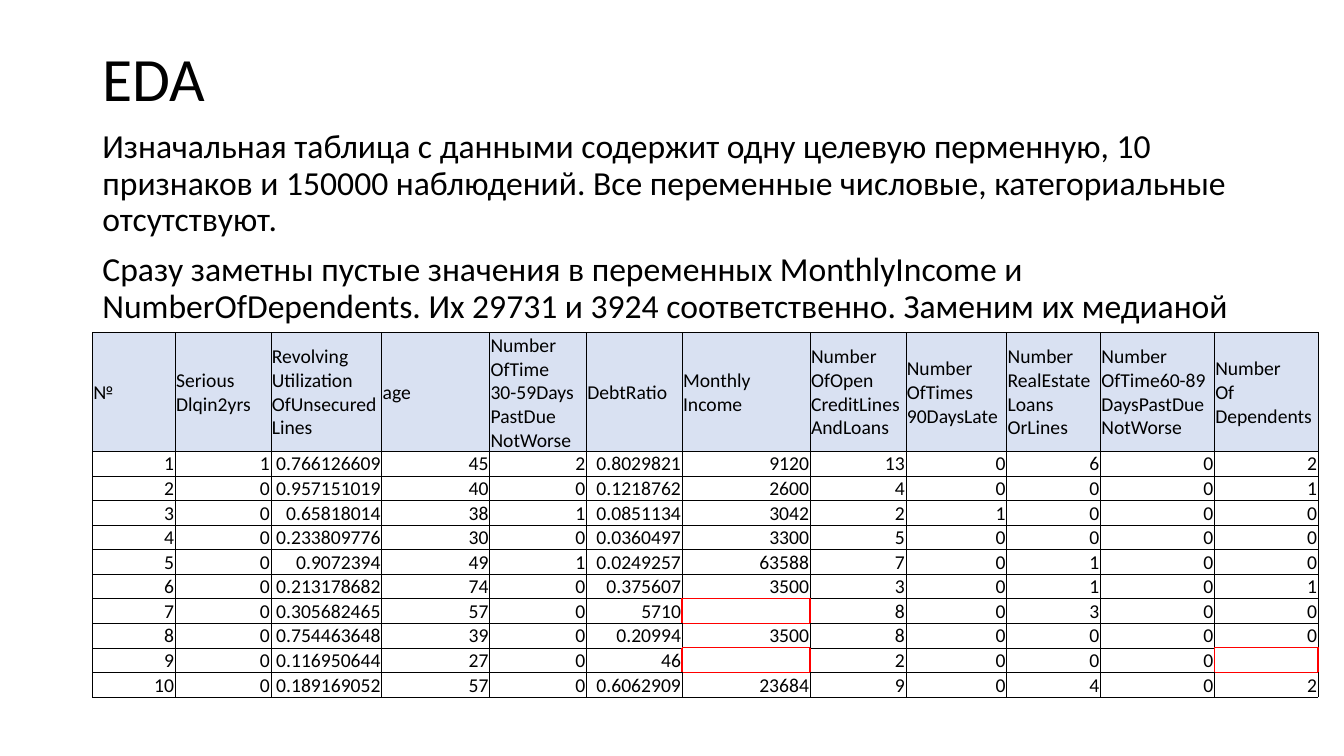
import pptx
import pptx.util
import pptx.dml.color
import pptx.enum.text
import pptx.oxml.ns
import lxml.etree

Inches, Pt = pptx.util.Inches, pptx.util.Pt
RGB = pptx.dml.color.RGBColor
ALIGN = pptx.enum.text.PP_ALIGN
MIDDLE = pptx.enum.text.MSO_ANCHOR.MIDDLE
qn = pptx.oxml.ns.qn

BLACK = RGB(0x00, 0x00, 0x00)
RED = RGB(0xFF, 0x00, 0x00)
PALE = RGB(0xD9, 0xE1, 0xF2)

WIDE, HIGH = Inches(13.333), Inches(7.5)
LEFT, SPAN = 6.88, 86.25  # percent of the slide width

TITLE = "EDA"
BODY = [
    "Изначальная таблица с данными содержит одну целевую перменную, "
    "10 признаков и 150000 наблюдений. Все переменные числовые, "
    "категориальные отсутствуют.",
    "Сразу заметны пустые значения в переменных MonthlyIncome и "
    "NumberOfDependents. Их 29731 и 3924 соответственно. "
    "Заменим их медианой",
]

# Column heads with their widths in inches; "|" breaks a line
HEADS = [
    ("№", 0.82),
    ("Serious|Dlqin2yrs", 0.95),
    ("Revolving|Utilization|OfUnsecured|Lines", 1.1),
    ("age", 1.07),
    ("Number|OfTime|30-59Days|PastDue|NotWorse", 0.96),
    ("DebtRatio", 0.95),
    ("Monthly|Income", 1.27),
    ("Number|OfOpen|CreditLines|AndLoans", 0.95),
    ("Number|OfTimes|90DaysLate", 1),
    ("Number|RealEstate|Loans|OrLines", 0.93),
    ("Number|OfTime60-89|DaysPastDue|NotWorse", 1.13),
    ("Number|Of|Dependents", 1.03),
]
# One borrower a line; the number is counted, "-" is a missing value
DATA = """
1 0.766126609 45 2 0.8029821 9120 13 0 6 0 2
0 0.957151019 40 0 0.1218762 2600 4 0 0 0 1
0 0.65818014 38 1 0.0851134 3042 2 1 0 0 0
0 0.233809776 30 0 0.0360497 3300 5 0 0 0 0
0 0.9072394 49 1 0.0249257 63588 7 0 1 0 0
0 0.213178682 74 0 0.375607 3500 3 0 1 0 1
0 0.305682465 57 0 5710 - 8 0 3 0 0
0 0.754463648 39 0 0.20994 3500 8 0 0 0 0
0 0.116950644 27 0 46 - 2 0 0 0 -
0 0.189169052 57 0 0.6062909 23684 9 0 4 0 2
"""
HEAD_ROW, DATA_ROW = 1, 0.2
CELL_SIZE = 14
CELL = {"margin_left": Inches(0.01), "margin_right": Inches(0.01),
        "margin_top": Inches(0.01), "margin_bottom": 0,
        "vertical_anchor": MIDDLE}
PARA = {"line_spacing": 0.9, "space_before": Pt(10)}
# Border tags and the step to the neighbour on that side
SIDES = {"a:lnL": (0, -1), "a:lnR": (0, 1), "a:lnT": (-1, 0), "a:lnB": (1, 0)}


def across(share):
    return round(WIDE * share / 100)


def down(share):
    return round(HIGH * share / 100)


def put(thing, look):
    for name, value in look.items():
        setattr(thing, name, value)


def ink(run, size):
    put(run.font, {"name": "Calibri", "size": Pt(size)})
    run.font.color.rgb = BLACK


def add_text(slide, top, tall, lines, size, look, anchor=None):
    box = slide.shapes.add_textbox(across(LEFT), down(top),
                                   across(SPAN), down(tall))
    frame = box.text_frame
    put(frame, {"word_wrap": True, "vertical_anchor": anchor})
    frame.text = "\n".join(lines)
    for para in frame.paragraphs:
        put(para, look)
        ink(para.runs[0], size)


def add_edge(cell, spot, tag, color, width):
    line = lxml.etree.Element(qn(tag), w=str(Pt(width)))
    fill = lxml.etree.SubElement(line, qn("a:solidFill"))
    lxml.etree.SubElement(fill, qn("a:srgbClr"), val=str(color))
    cell._tc.get_or_add_tcPr().insert(spot, line)


def fill_cell(cell, text, head):
    put(cell, CELL)
    if head:
        cell.fill.solid()
        cell.fill.fore_color.rgb = PALE
    else:
        cell.fill.background()
    cell.text = text.replace("|", "\v")
    para = cell.text_frame.paragraphs[0]
    para.alignment = ALIGN.LEFT if head else ALIGN.RIGHT
    for run in para.runs:
        ink(run, CELL_SIZE)
    # Line breaks and empty cells need the text size too
    size = str(CELL_SIZE * 100)
    for gap in para._p.findall(qn("a:br")):
        lxml.etree.SubElement(gap, qn("a:rPr"), sz=size)
    if not text:
        lxml.etree.SubElement(para._p, qn("a:endParaRPr"), sz=size)


def add_grid(slide, top, rows):
    wide = Inches(sum(width for _, width in HEADS))
    tall = Inches(HEAD_ROW + DATA_ROW * (len(rows) - 1))
    grid = slide.shapes.add_table(len(rows), len(HEADS), across(LEFT),
                                  down(top), wide, tall).table
    put(grid, {"first_row": False, "horz_banding": False})
    for col, (_, width) in zip(grid.columns, HEADS):
        col.width = Inches(width)
    for num, row in enumerate(grid.rows):
        row.height = Inches(DATA_ROW if num else HEAD_ROW)

    # Every edge of a missing value is red, on both of its cells
    empty = {(r, c) for r, row in enumerate(rows)
             for c, text in enumerate(row) if not text}
    for r, row in enumerate(rows):
        for c, text in enumerate(row):
            cell = grid.cell(r, c)
            fill_cell(cell, text, r == 0)
            for spot, (tag, (dr, dc)) in enumerate(SIDES.items()):
                hot = empty & {(r, c), (r + dr, c + dc)}
                add_edge(cell, spot, tag, *((RED, 1) if hot else (BLACK, 0.5)))


def main():
    deck = pptx.Presentation()
    put(deck, {"slide_width": WIDE, "slide_height": HIGH})
    slide = deck.slides.add_slide(deck.slide_layouts[6])

    # Title and text
    add_text(slide, 1.07, 19.33, [TITLE], 44, {"line_spacing": 0.9}, MIDDLE)
    add_text(slide, 16.53, 63.47, BODY, 24, PARA)

    # Table of the first borrowers
    rows = [[head for head, _ in HEADS]]
    for num, line in enumerate(DATA.strip().splitlines(), 1):
        rows.append([str(num)] + [v.strip("-") for v in line.split()])
    add_grid(slide, 44, rows)

    deck.save("out.pptx")


main()
